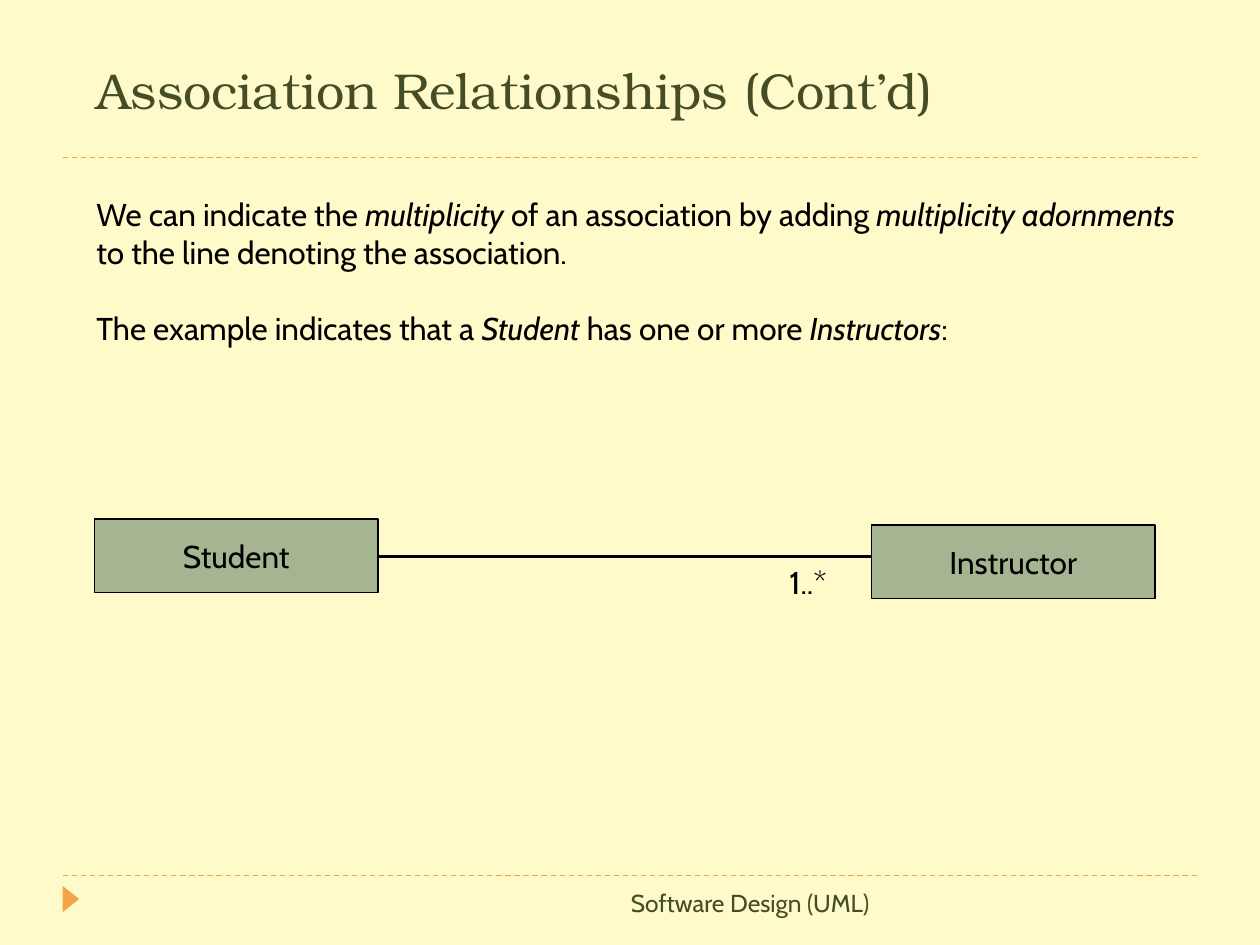
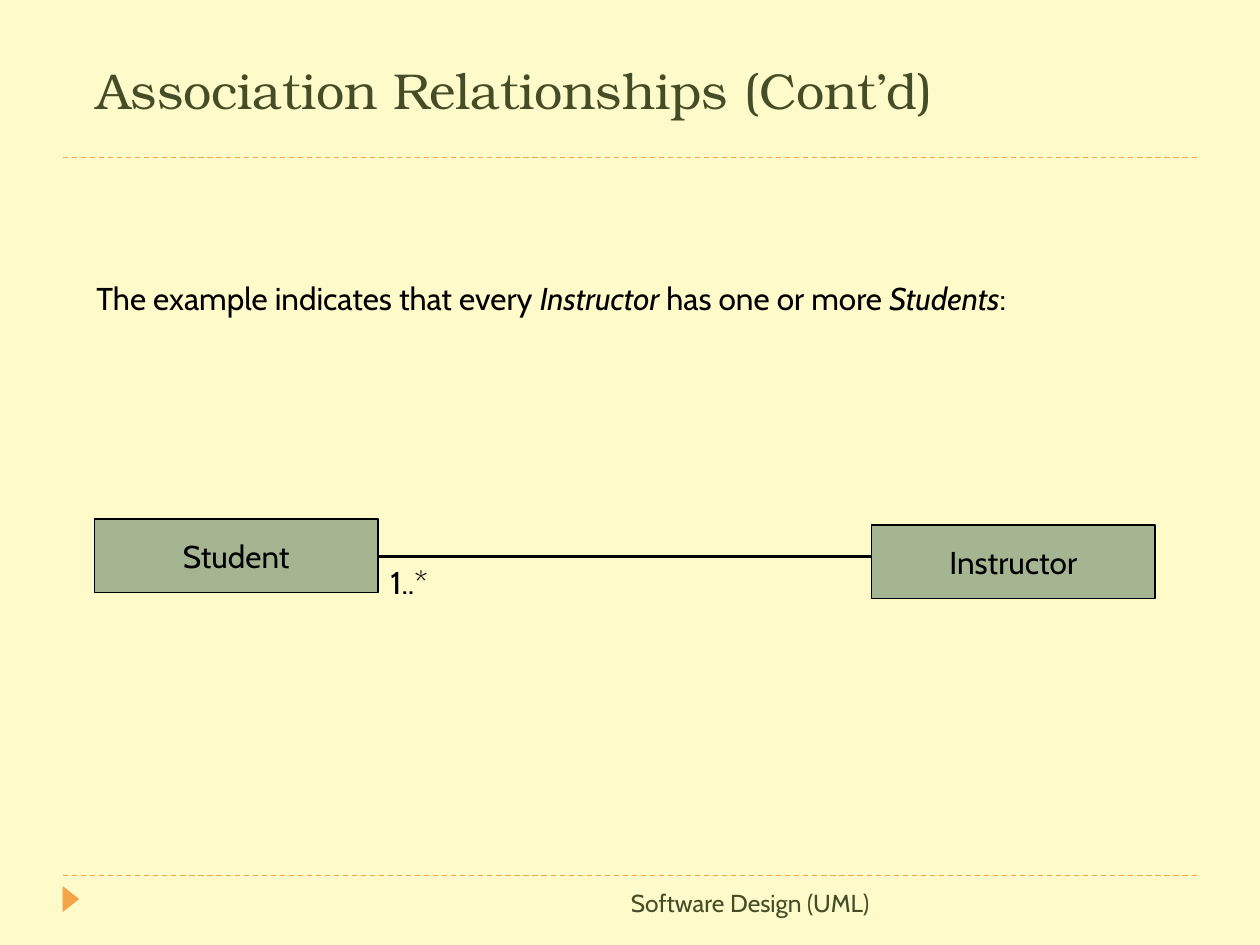
from dataclasses import dataclass

from pptx import Presentation
from pptx.dml.color import RGBColor
from pptx.enum.dml import MSO_LINE
from pptx.enum.shapes import MSO_CONNECTOR, MSO_SHAPE
from pptx.enum.text import MSO_ANCHOR, MSO_AUTO_SIZE, PP_ALIGN
from pptx.oxml.ns import qn
from pptx.presentation import Presentation as Deck
from pptx.slide import Slide
from pptx.text.text import TextFrame
from pptx.util import Pt

DASH = MSO_LINE.DASH
STRAIGHT = MSO_CONNECTOR.STRAIGHT
RECTANGLE, TRIANGLE = MSO_SHAPE.RECTANGLE, MSO_SHAPE.ISOSCELES_TRIANGLE
MIDDLE, BOTTOM = MSO_ANCHOR.MIDDLE, MSO_ANCHOR.BOTTOM
FIXED, GROW = MSO_AUTO_SIZE.NONE, MSO_AUTO_SIZE.SHAPE_TO_FIT_TEXT
LEFT, CENTER, RIGHT = PP_ALIGN.LEFT, PP_ALIGN.CENTER, PP_ALIGN.RIGHT

COLOURS = {
    "paper": "FEFAC9",
    "heading": "444D26",
    "accent": "F3A447",
    "class": "A5B592",
    "ink": "000000",
}
HEADING_FONT, BODY_FONT = "TeX Gyre Bonum", "Cabin"
ITALIC_MARK = "_"
PARAGRAPH_GAP = 21.75
TITLE = "Association Relationships (Cont’d)"
FOOTER = "Software Design (UML)"


@dataclass(frozen=True)
class Box:
    left: float
    top: float
    width: float
    height: float

    def lengths(self) -> tuple[Pt, Pt, Pt, Pt]:
        return Pt(self.left), Pt(self.top), Pt(self.width), Pt(self.height)


@dataclass(frozen=True)
class Rule:
    left: float
    right: float
    y: float
    colour: str
    weight: float
    dashed: bool = False


@dataclass(frozen=True)
class UmlClass:
    label: str
    box: Box


@dataclass(frozen=True)
class Example:
    title_width: float
    explanation: Box
    paragraphs: tuple[str, ...]
    multiplicity_left: float


DIVIDERS = [Rule(36, 684, y, "accent", 0.75, True) for y in (90, 500.4)]
ASSOCIATION = Rule(216, 504, 318, "ink", 2.25)
UML_CLASSES = [
    UmlClass("Instructor", Box(498, 300, 162, 42)),
    UmlClass("Student", Box(54, 296.6, 162, 42)),
]
EXAMPLES = [
    Example(
        642,
        Box(48, 108, 639, 151),
        (
            "We can indicate the _multiplicity_ of an association by adding "
            "_multiplicity adornments_ to the line denoting the association.",
            "The example indicates that a _Student_ has one or more _Instructors_:",
        ),
        444,
    ),
    Example(
        648,
        Box(48, 156, 639, 65),
        ("The example indicates that every _Instructor_ has one or more _Students_:",),
        216,
    ),
]


def colour(name: str) -> RGBColor:
    return RGBColor.from_string(COLOURS[name])


def write(frame: TextFrame, paragraphs: tuple[str, ...], size: float = 18,
          font: str = BODY_FONT, ink: str = "ink", align: PP_ALIGN = LEFT) -> None:
    for index, content in enumerate(paragraphs):
        paragraph = frame.add_paragraph() if index else frame.paragraphs[0]
        paragraph.alignment = align
        if index:
            paragraph.space_before = Pt(PARAGRAPH_GAP)
        for part, words in enumerate(content.split(ITALIC_MARK)):
            run = paragraph.add_run()
            run.text = words
            run.font.name = font
            run.font.size = Pt(size)
            run.font.italic = part % 2 == 1
            run.font.color.rgb = colour(ink)


def add_text(slide: Slide, box: Box, paragraphs: tuple[str, ...],
             fit: MSO_AUTO_SIZE = GROW, **style) -> None:
    frame = slide.shapes.add_textbox(*box.lengths()).text_frame
    frame.word_wrap = True
    frame.auto_size = fit
    write(frame, paragraphs, **style)


def add_rule(slide: Slide, rule: Rule) -> None:
    y = Pt(rule.y)
    connector = slide.shapes.add_connector(STRAIGHT, Pt(rule.left), y, Pt(rule.right), y)
    connector.line.color.rgb = colour(rule.colour)
    connector.line.width = Pt(rule.weight)
    if rule.dashed:
        connector.line.dash_style = DASH
    properties = connector._element.spPr
    properties.append(properties.makeelement(qn("a:effectLst"), {}))


def add_class(slide: Slide, uml_class: UmlClass) -> None:
    rectangle = slide.shapes.add_shape(RECTANGLE, *uml_class.box.lengths())
    rectangle.shadow.inherit = False
    rectangle.fill.solid()
    rectangle.fill.fore_color.rgb = colour("class")
    rectangle.line.color.rgb = colour("ink")
    rectangle.line.width = Pt(0.75)
    frame = rectangle.text_frame
    frame.word_wrap = False
    frame.vertical_anchor = MIDDLE
    write(frame, (uml_class.label,), align=CENTER)


def add_footer(slide: Slide) -> None:
    marker = slide.shapes.add_shape(TRIANGLE, *Box(33, 509, 15, 9.5).lengths())
    marker.rotation = 90
    marker.shadow.inherit = False
    marker.fill.solid()
    marker.fill.fore_color.rgb = colour("accent")
    marker.line.fill.background()
    add_text(slide, Box(186, 504, 318, 36), (FOOTER,), FIXED,
             size=14, ink="heading", align=RIGHT)


def set_title(slide: Slide, width: float) -> None:
    title = slide.shapes.title
    title.left, title.top, title.width, title.height = Box(48, 30, width, 42).lengths()
    frame = title.text_frame
    frame.word_wrap = True
    frame.auto_size = FIXED
    frame.vertical_anchor = BOTTOM
    write(frame, (TITLE,), size=28.8, font=HEADING_FONT, ink="heading")


def add_example(deck: Deck, example: Example) -> None:
    slide = deck.slides.add_slide(deck.slide_layouts.get_by_name("Title Only"))
    for divider in DIVIDERS:
        add_rule(slide, divider)
    add_footer(slide)
    set_title(slide, example.title_width)
    add_text(slide, example.explanation, example.paragraphs)
    add_rule(slide, ASSOCIATION)
    for uml_class in UML_CLASSES:
        add_class(slide, uml_class)
    add_text(slide, Box(example.multiplicity_left, ASSOCIATION.y, 54, 36), ("1..*",))


def main() -> None:
    deck = Presentation()
    deck.slide_width, deck.slide_height = Pt(720), Pt(540)
    backdrop = deck.slide_master.background.fill
    backdrop.solid()
    backdrop.fore_color.rgb = colour("paper")
    for example in EXAMPLES:
        add_example(deck, example)
    deck.save("out.pptx")


if __name__ == "__main__":
    main()
